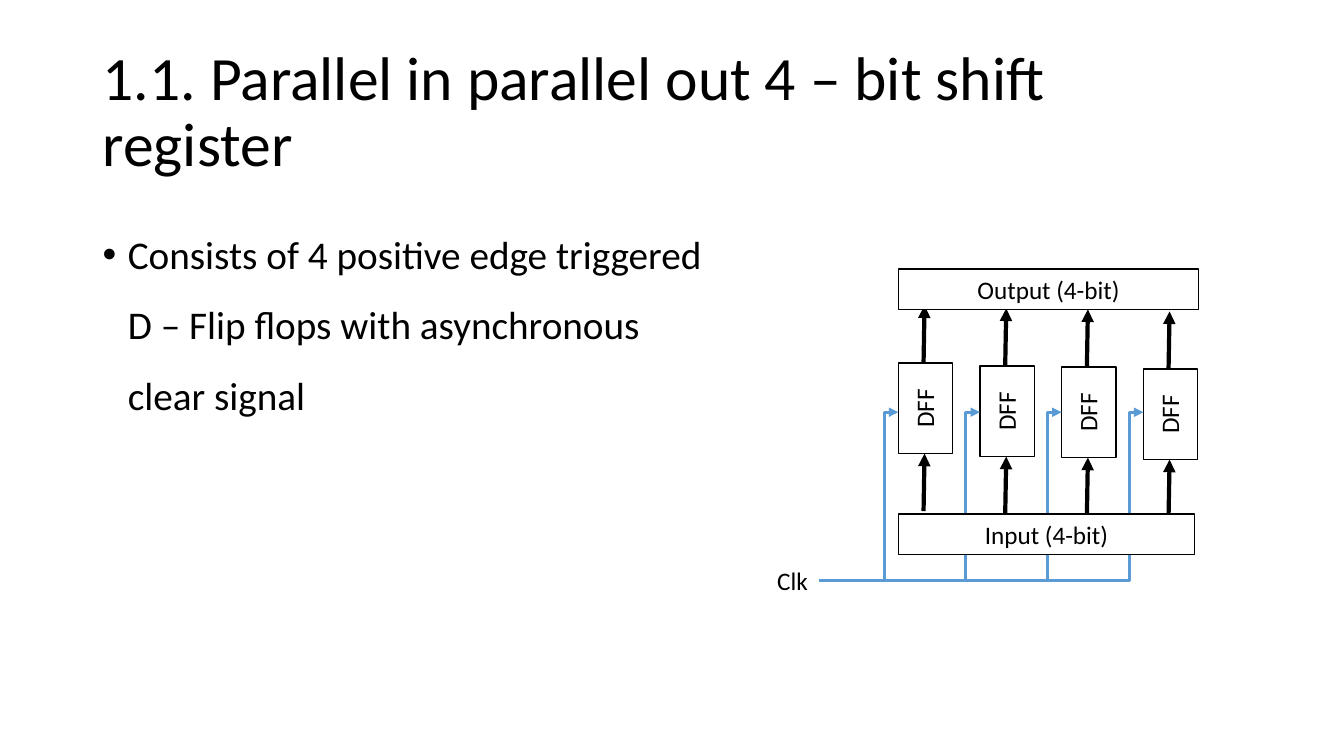
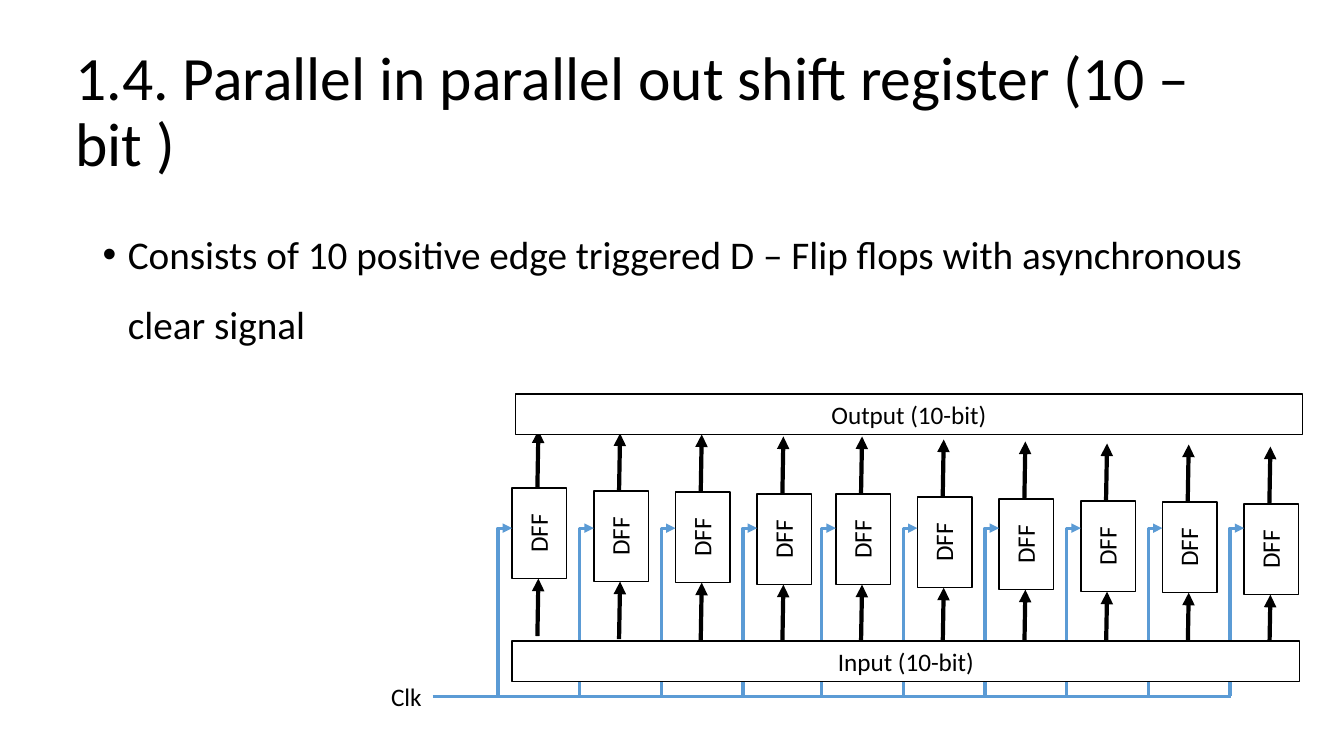
import pptx
import pptx.util
import pptx.dml.color
import pptx.enum.shapes
import pptx.enum.text
import pptx.oxml.ns
from lxml import etree

Inches = pptx.util.Inches
Pt = pptx.util.Pt
Align = pptx.enum.text.PP_ALIGN
Anchor = pptx.enum.text.MSO_ANCHOR
Link = pptx.enum.shapes.MSO_CONNECTOR
qn = pptx.oxml.ns.qn

# Style
BLACK = pptx.dml.color.RGBColor(0x00, 0x00, 0x00)
WHITE = pptx.dml.color.RGBColor(0xFF, 0xFF, 0xFF)
BLUE = pptx.dml.color.RGBColor(0x5B, 0x9B, 0xD5)
FONT = "Calibri"

# Flip-flop grid, in inches
WIDE, HIGH, STEP = 0.54, 0.9, 0.81
BAR = 0.4
DROPS = (0, 0.03, 0.04, 0.06, 0.06, 0.09, 0.11, 0.13, 0.14, 0.16)


def write(shape, text, size=18, align=Align.LEFT, anchor=Anchor.TOP,
          space=1.0, before=0, bullet=False):
    """Put one formatted paragraph into a shape."""
    frame = shape.text_frame
    frame.word_wrap = True
    frame.vertical_anchor = anchor
    para = frame.paragraphs[0]
    para.alignment = align
    para.line_spacing = space
    para.space_before = Pt(before)
    if bullet:
        props = para._p.get_or_add_pPr()
        props.set("marL", str(Inches(0.25)))
        props.set("indent", str(-Inches(0.25)))
        etree.SubElement(props, qn("a:buFont")).set("typeface", "Arial")
        etree.SubElement(props, qn("a:buChar")).set("char", "•")
    run = para.add_run()
    run.text = text
    run.font.name = FONT
    run.font.size = Pt(size)
    run.font.color.rgb = BLACK


class Deck:
    def __init__(self):
        self.file = pptx.Presentation()
        self.file.slide_width = Inches(13.33)
        self.file.slide_height = Inches(7.5)
        self.slide = None

    def page(self):
        self.slide = self.file.slides.add_slide(self.file.slide_layouts[6])

    def label(self, text, left, top, width, height, turn=0, **form):
        box = self.slide.shapes.add_textbox(
            Inches(left), Inches(top), Inches(width), Inches(height))
        box.rotation = turn
        write(box, text, **form)

    def title(self, text, left, width):
        self.label(text, left, 0.4, width, 1.45, size=44,
                   anchor=Anchor.MIDDLE, space=0.9)

    def body(self, text, width):
        self.label(text, 0.92, 2, width, 4.76, size=28, space=1.5,
                   before=10, bullet=True)

    def box(self, left, top, width, height, text=None):
        rect = self.slide.shapes.add_shape(
            pptx.enum.shapes.MSO_SHAPE.RECTANGLE,
            Inches(left), Inches(top), Inches(width), Inches(height))
        rect.shadow.inherit = False
        rect.fill.solid()
        rect.fill.fore_color.rgb = WHITE
        rect.line.color.rgb = BLACK
        rect.line.width = Pt(1)
        if text:
            write(rect, text, align=Align.CENTER, anchor=Anchor.MIDDLE)

    def line(self, start, end, color=BLACK, weight=3, arrow=True,
             kind=Link.STRAIGHT):
        wire = self.slide.shapes.add_connector(
            kind, *(Inches(v) for v in (*start, *end)))
        wire.line.color.rgb = color
        wire.line.width = Pt(weight)
        if arrow:
            stroke = wire.line._get_or_add_ln()
            etree.SubElement(stroke, qn("a:tailEnd")).set("type", "triangle")
        etree.SubElement(wire._element.spPr, qn("a:effectLst"))
        return wire

    def bend(self, start, end):
        """Run straight up from start, then right to an arrowhead at end."""
        midx, midy = (start[0] + end[0]) / 2, (start[1] + end[1]) / 2
        dx, dy = (end[0] - start[0]) / 2, (start[1] - end[1]) / 2
        # The one-bend preset is laid flat, then turned a quarter
        wire = self.line((midx + dy, midy + dx), (midx - dy, midy - dx),
                         BLUE, 2.25, kind=Link.ELBOW)
        props = wire._element.spPr
        props.find(qn("a:prstGeom")).set("prst", "bentConnector2")
        props.find(qn("a:xfrm")).set("rot", str(90 * 60000))

    def register(self, bits, left, top, clock, feed, drain):
        """Draw a register; feed and drain are (left, top, width) of bars."""
        cells = [(left + STEP * i - (0.03 if i > 3 else 0), top + DROPS[i])
                 for i in range(bits)]
        # Flip-flops with their data arrows
        for x, y in cells:
            self.box(x, y, WIDE, HIGH)
            self.line((x + 0.25, y + 1.47), (x + 0.26, y + HIGH))
            self.line((x + 0.25, y), (x + 0.26, y - 0.57))
            self.label("DFF", x - 0.19, y + 0.25, 0.89, BAR, turn=270,
                       align=Align.CENTER)
        # Clock net
        for x, y in cells:
            self.bend((x - 0.14, clock), (x, clock - 1.67))
        self.line((left - 0.79, clock), (cells[-1][0] - 0.13, clock),
                  BLUE, 2.25, arrow=False)
        self.label("Clk", left - 1.3, clock - 0.2, 0.51, BAR)
        # Data bars
        for name, bar in (("Input", feed), ("Output", drain)):
            self.box(*bar, BAR, f"{name} ({bits}-bit)")


def main():
    deck = Deck()

    # Four bits
    deck.page()
    deck.title("1.1. Parallel in parallel out 4 – bit shift register",
               0.92, 11.5)
    deck.body("Consists of 4 positive edge triggered D – Flip flops with "
              "asynchronous clear signal", 6.2)
    deck.register(4, 8.91, 3.6, clock=5.76,
                  feed=(8.91, 5.1, 2.94), drain=(8.91, 2.67, 2.98))

    # Ten bits
    deck.page()
    deck.title("1.4. Parallel in parallel out shift register (10 – bit )",
               0.65, 12.27)
    deck.body("Consists of 10 positive edge triggered D – Flip flops with "
              "asynchronous clear signal", 11.5)
    deck.register(10, 5.08, 4.84, clock=6.91,
                  feed=(5.08, 6.36, 7.81), drain=(5.11, 3.91, 7.81))

    deck.file.save("out.pptx")


if __name__ == "__main__":
    main()
